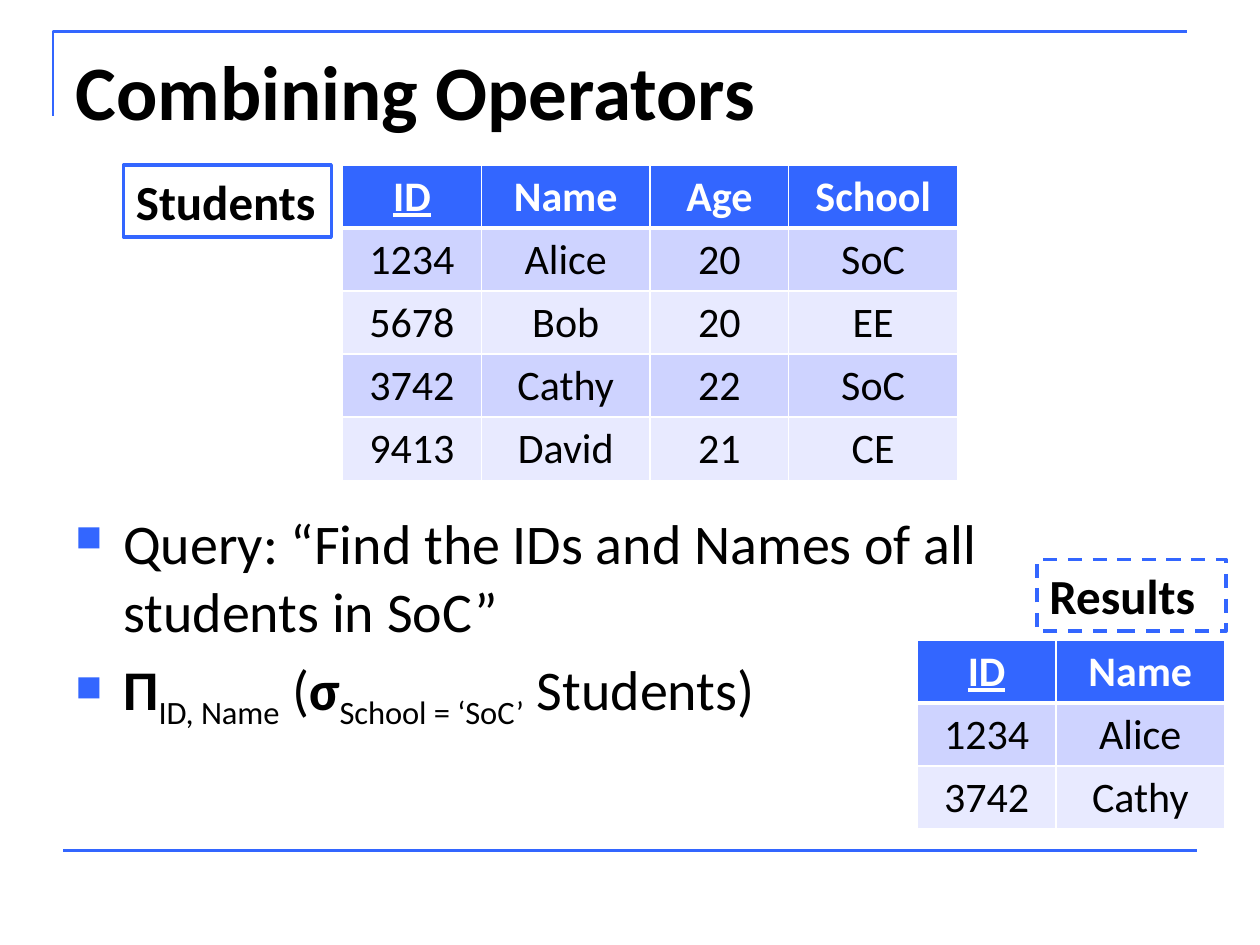
from lxml import etree
from pptx import Presentation, util as u
from pptx.dml.color import RGBColor
from pptx.enum import dml, shapes, text
from pptx.oxml.ns import qn

BLUE = RGBColor(0x33, 0x66, 0xFF)
BLACK = RGBColor(0, 0, 0)
WHITE = RGBColor(0xFF, 0xFF, 0xFF)
BANDS = [RGBColor(0xCE, 0xD3, 0xFF), RGBColor(0xE8, 0xEA, 0xFF)]

TITLE = [[("Combining Operators", "b")]]
BODY = [
    [("Query: “Find the IDs and Names of all students in SoC”", "")],
    [("Π", "b"), ("ID, Name", "sub"), (" (", ""), ("σ", "b"),
     ("School = ‘SoC’", "sub"), (" Students)", "")],
]
STUDENTS = [
    ["ID", "Name", "Age", "School"],
    ["1234", "Alice", "20", "SoC"],
    ["5678", "Bob", "20", "EE"],
    ["3742", "Cathy", "22", "SoC"],
    ["9413", "David", "21", "CE"],
]
RESULTS = [["ID", "Name"], ["1234", "Alice"], ["3742", "Cathy"]]
COLS = [1.1, 1.34, 1.1, 1.34]
ROW = 0.5
TABLES = [(STUDENTS, 2.72, 1.31), (RESULTS, 7.28, 5.08)]
LABELS = [("Students", 0.98, 1.31, 1.65, None),
          ("Results", 8.23, 4.44, 1.5, dml.MSO_LINE.DASH)]


def inches(*values):
    return [u.Inches(v) for v in values]


def child(parent, tag, **attrs):
    return etree.SubElement(parent, qn(tag), attrs)


def add_bullet(p):
    pPr = p._p.get_or_add_pPr()
    pPr.set("marL", str(u.Inches(0.38)))
    pPr.set("indent", str(-u.Inches(0.38)))
    child(child(pPr, "a:buClr"), "a:srgbClr", val=str(BLUE))
    child(pPr, "a:buSzPct", val="65000")
    child(pPr, "a:buChar", char="■")


def write(tf, paragraphs, size, color=BLACK, align=text.PP_ALIGN.LEFT,
          bullets=False, before=0):
    for i, runs in enumerate(paragraphs):
        p = tf.add_paragraph() if i else tf.paragraphs[0]
        p.alignment = align
        if i:
            p.space_before = u.Pt(before)
        if bullets:
            add_bullet(p)
        for words, style in runs:
            r = p.add_run()
            r.text = words
            f = r.font
            f.name, f.size, f.color.rgb = "Calibri", u.Pt(size), color
            f.bold = style in ("b", "key")
            f.underline = style == "key"
            if style == "sub":
                r._r.get_or_add_rPr().set("baseline", "-25000")


def add_text(s, box, paragraphs, size, **fmt):
    tf = s.shapes.add_textbox(*inches(*box)).text_frame
    tf.word_wrap = True
    write(tf, paragraphs, size, **fmt)


def set_borders(cell, row):
    tcPr = cell._tc.get_or_add_tcPr()
    for side in "LRTB":
        thick = (row, side) in ((0, "B"), (1, "T"))
        ln = child(tcPr, f"a:ln{side}", w=str(u.Pt(3 if thick else 1)))
        child(child(ln, "a:solidFill"), "a:srgbClr", val=str(WHITE))


def add_table(s, rows, x, y):
    widths = COLS[:len(rows[0])]
    box = inches(x, y, sum(widths), ROW * len(rows))
    table = s.shapes.add_table(len(rows), len(widths), *box).table
    for column, width in zip(table.columns, widths):
        column.width = u.Inches(width)
    for i, row in enumerate(rows):
        for j, words in enumerate(row):
            cell = table.cell(i, j)
            set_borders(cell, i)
            cell.fill.solid()
            cell.fill.fore_color.rgb = BANDS[(i - 1) % 2] if i else BLUE
            style = "" if i else "b" if j else "key"
            write(cell.text_frame, [[(words, style)]], 24,
                  color=BLACK if i else WHITE, align=text.PP_ALIGN.CENTER)


def add_label(s, words, x, y, width, dash):
    sp = s.shapes.add_shape(shapes.MSO_SHAPE.RECTANGLE,
                            *inches(x, y, width, 0.57))
    sp.shadow.inherit = False
    sp.fill.background()
    sp.line.color.rgb, sp.line.width = BLUE, u.Pt(2)
    if dash:
        sp.line.dash_style = dash
    tf = sp.text_frame
    tf.word_wrap = True
    tf.auto_size = text.MSO_AUTO_SIZE.SHAPE_TO_FIT_TEXT
    tf.vertical_anchor = text.MSO_ANCHOR.TOP
    write(tf, [[(words, "b")]], 28)


def add_frame(s):
    fb = s.shapes.build_freeform(*inches(0.42, 0.92))
    fb.add_line_segments([inches(0.42, 0.25), inches(9.42, 0.25)], close=False)
    corner = fb.convert_to_shape()
    corner.shadow.inherit = False
    corner.fill.background()
    rule = s.shapes.add_connector(shapes.MSO_CONNECTOR.STRAIGHT,
                                  *inches(0.5, 6.75, 9.5, 6.75))
    for line in (corner.line, rule.line):
        line.color.rgb, line.width = BLUE, u.Pt(1.5)
    child(rule._element.spPr, "a:effectLst")


def main():
    prs = Presentation()
    prs.slide_width, prs.slide_height = inches(10, 7.5)
    s = prs.slides.add_slide(prs.slide_layouts[6])
    add_frame(s)
    add_text(s, (0.5, 0.3, 9, 1.25), TITLE, 44)
    add_text(s, (0.5, 3.99, 9, 2.72), BODY, 32, bullets=True, before=6.4)
    for table in TABLES:
        add_table(s, *table)
    for label in LABELS:
        add_label(s, *label)
    prs.save("out.pptx")


if __name__ == "__main__":
    main()
